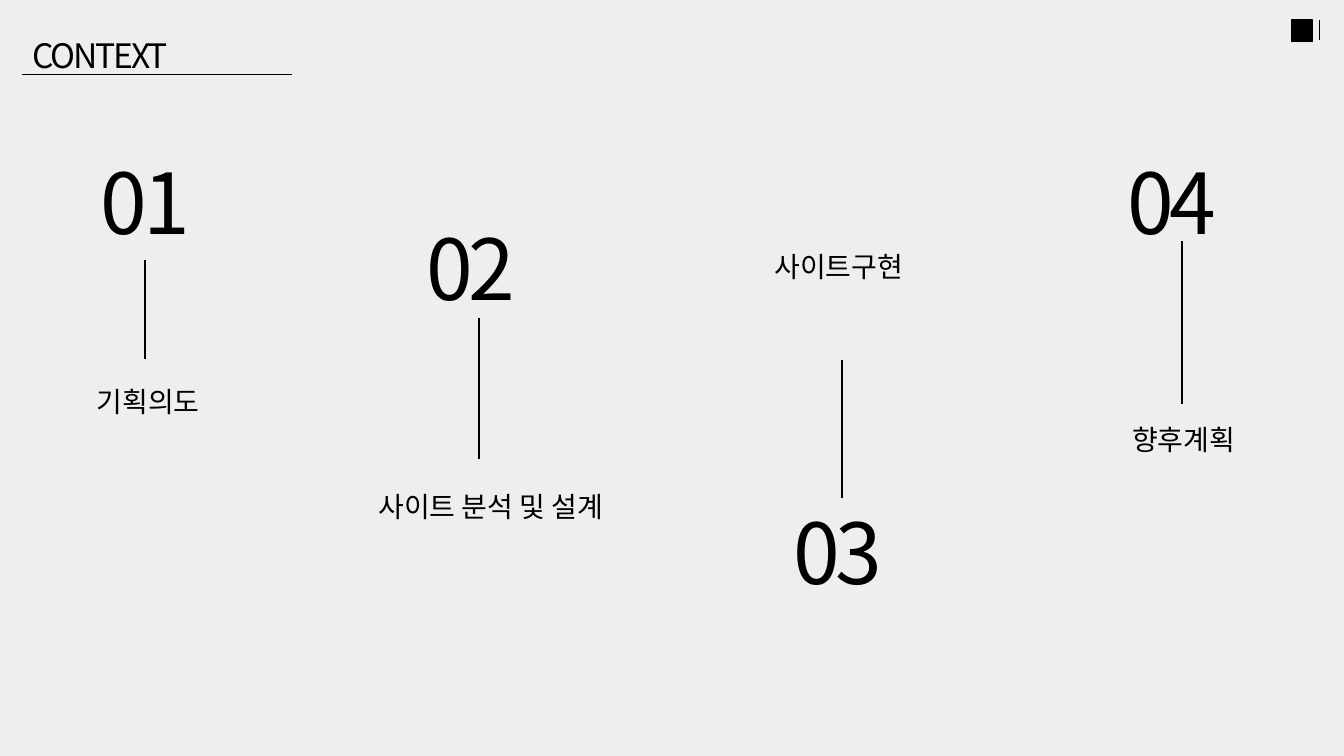
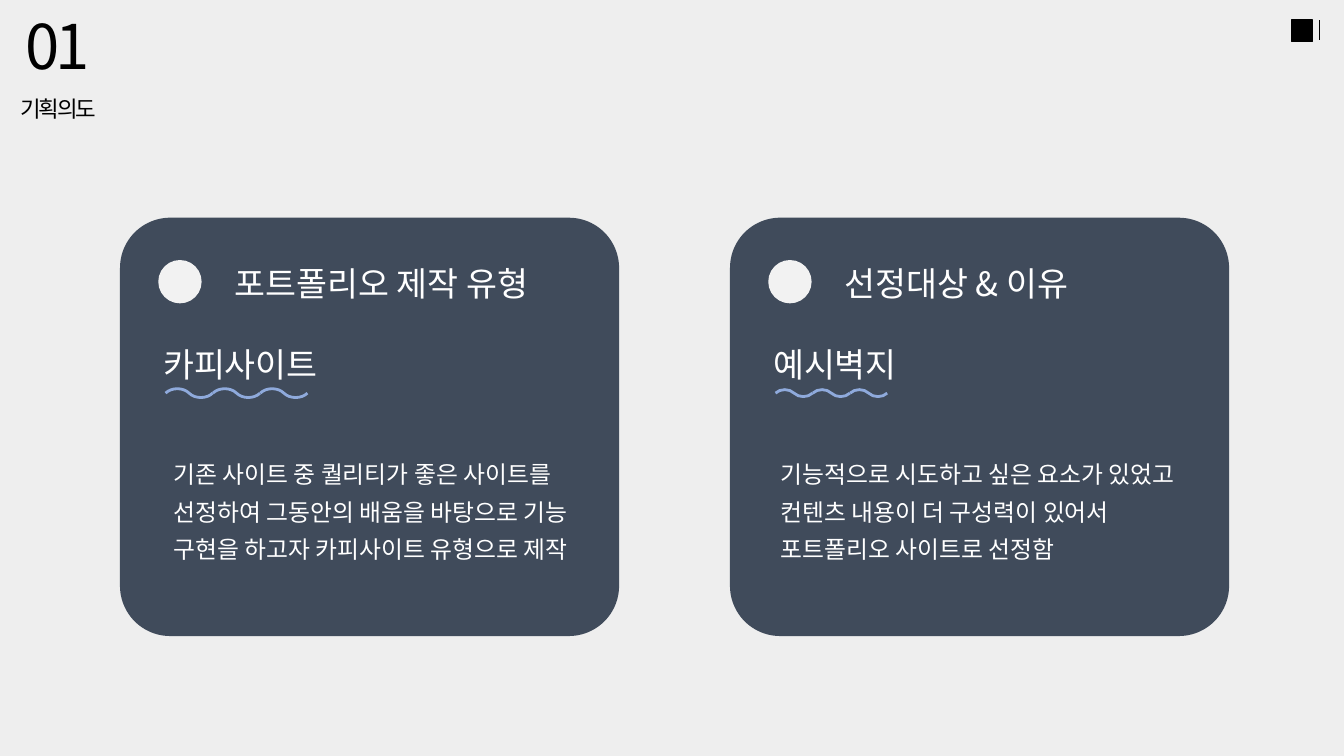
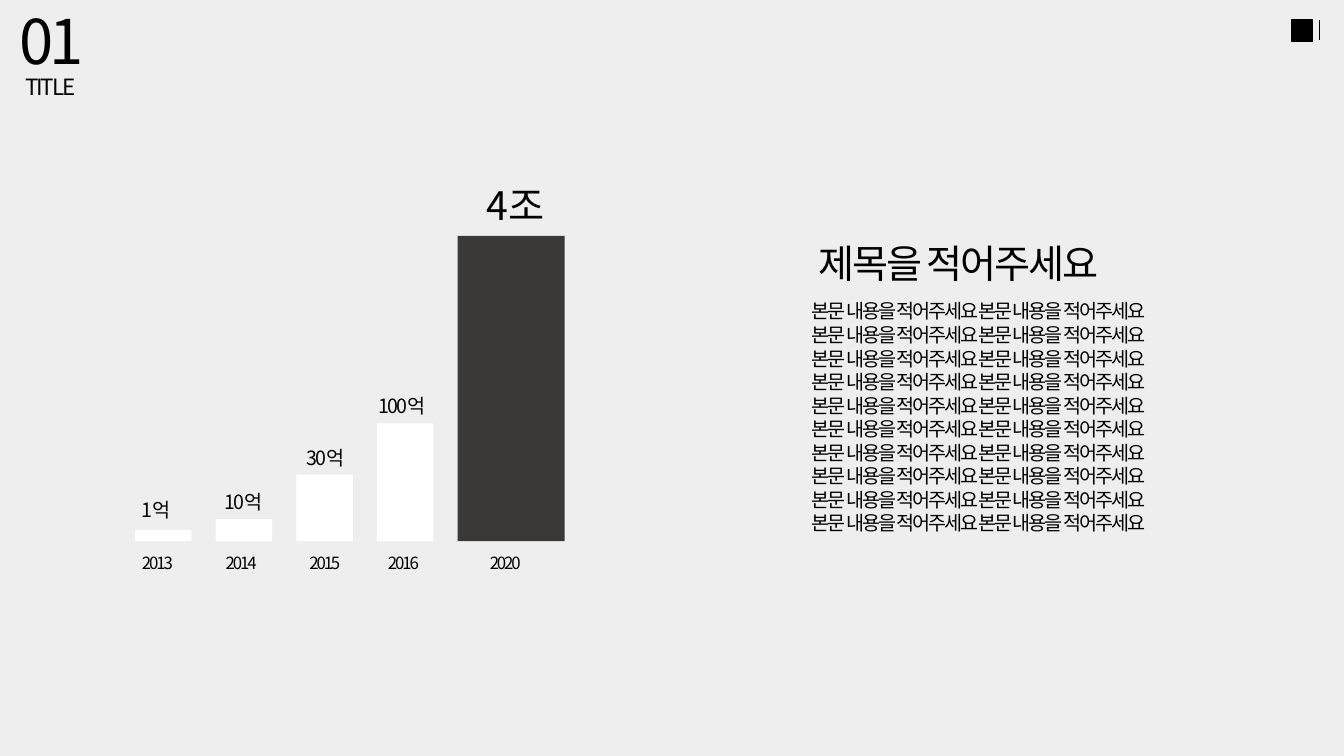
import pptx
import pptx.util
import pptx.dml.color
import pptx.enum.shapes
import pptx.enum.text
import pptx.oxml.ns
import lxml.etree

Inches = pptx.util.Inches
Pt = pptx.util.Pt
RGBColor = pptx.dml.color.RGBColor
SHAPE = pptx.enum.shapes.MSO_SHAPE
CONNECTOR = pptx.enum.shapes.MSO_CONNECTOR
ALIGN = pptx.enum.text.PP_ALIGN
qn = pptx.oxml.ns.qn

FONT = "Noto Sans CJK KR"
PAPER = RGBColor(0xEE, 0xEE, 0xEE)
BLACK = RGBColor(0x00, 0x00, 0x00)
WHITE = RGBColor(0xFF, 0xFF, 0xFF)
NAVY = RGBColor(0x33, 0x3F, 0x50)
PEARL = RGBColor(0xF2, 0xF2, 0xF2)
WAVE_BLUE = RGBColor(0x8F, 0xAA, 0xDC)
CHARCOAL = RGBColor(0x3B, 0x38, 0x38)
TIGHT = -1.5
TIGHTER = -3


def place(shape, left, top, width, height):
    """Move and size a shape, in inches."""
    shape.left, shape.top = Inches(left), Inches(top)
    shape.width, shape.height = Inches(width), Inches(height)


def write(shape, lines, size, color=BLACK, align=ALIGN.LEFT, tracking=0, leading=1.0):
    """Fill a text box or placeholder with plain, unbulleted paragraphs."""
    frame = shape.text_frame
    frame.word_wrap = True
    frame.auto_size = pptx.enum.text.MSO_AUTO_SIZE.NONE
    frame.vertical_anchor = pptx.enum.text.MSO_ANCHOR.TOP
    frame.text = "\n".join(lines)
    for para in frame.paragraphs:
        para.alignment = align
        para.line_spacing = leading
        para.space_before = Pt(0)
        font = para.font
        font.name, font.size, font.color.rgb = FONT, Pt(size), color
        character = font._element
        character.set("spc", str(int(tracking * 100)))
        lxml.etree.SubElement(character, qn("a:ea")).set("typeface", FONT)
        settings = para._p.get_or_add_pPr()
        settings.set("marL", "0")
        settings.set("indent", "0")
        character.addprevious(settings.makeelement(qn("a:buNone"), {}))


def add_text(page, box, text, size, **style):
    """Add a one-line text box."""
    shape = page.shapes.add_textbox(*map(Inches, box))
    write(shape, [text], size, **style)


def add_block(page, kind, box, fill, line=None):
    """Add a flat filled shape."""
    shape = page.shapes.add_shape(kind, *map(Inches, box))
    shape.shadow.inherit = False
    shape.fill.solid()
    shape.fill.fore_color.rgb = fill
    if line is None:
        shape.line.fill.background()
    else:
        shape.line.color.rgb = fill
        shape.line.width = Pt(line)
    return shape


def add_line(page, ends, width, color=BLACK, kind=CONNECTOR.STRAIGHT):
    """Add a connector without shadow."""
    line = page.shapes.add_connector(kind, *map(Inches, ends))
    line.line.color.rgb = color
    line.line.width = Pt(width)
    lxml.etree.SubElement(line._element.spPr, qn("a:effectLst"))
    return line


def add_page(deck, layout):
    """Add a slide with the corner mark."""
    page = deck.slides.add_slide(deck.slide_layouts[layout])
    add_block(page, SHAPE.RECTANGLE, (12.81, 0.2, 0.21, 0.21), BLACK, 1)
    add_line(page, (13.09, 0.2, 13.09, 0.4), 0.5)
    return page


def add_section_head(page, number, title, number_at, title_at):
    """Place the section number and the title beneath it."""
    add_text(page, (*number_at, 1.48, 1), number, 44, tracking=TIGHTER)
    place(page.shapes.title, *title_at, 1, 0.45)
    write(page.shapes.title, [title], 16, align=ALIGN.CENTER, tracking=TIGHT)


def add_chapter(page, number, caption, number_at, caption_at, rule):
    """Place a chapter number, its rule and its centred caption."""
    add_text(page, (*number_at, 1.48, 1.21), number, 60, tracking=TIGHTER)
    x, top, bottom = rule
    add_line(page, (x, top, x, bottom), 1.25)
    center, caption_top = caption_at
    add_text(page, (center - 1.5, caption_top, 3, 0.5), caption, 20, align=ALIGN.CENTER)


def add_wave(page, left, middle, pitch, size):
    """Draw three S-curves in a row as a wavy underline."""
    for index in range(3):
        x = left + index * pitch + (pitch - size) / 2
        y = middle - size / 2
        curve = add_line(page, (x, y, x + size, y + size), 2, WAVE_BLUE, CONNECTOR.CURVE)
        curve._element.spPr.xfrm.rot = 135


def add_card(page, left, top, heading, subject, wave, body, body_box, lines):
    """Place a rounded card with heading, underlined subject and body list."""
    card = add_block(page, SHAPE.ROUNDED_RECTANGLE, (left, top, 4.95, 4.15), NAVY)
    card.adjustments[0] = 0.12
    tint = card._element.spPr.find(".//" + qn("a:srgbClr"))
    lxml.etree.SubElement(tint, qn("a:alpha")).set("val", "93000")
    add_block(page, SHAPE.OVAL, (left + 0.38, top + 0.42, 0.43, 0.43), PEARL)
    add_text(page, (left + 1.04, top + 0.4, 3.67, 0.5), heading, 24, color=WHITE)
    add_text(page, (left + 0.33, top + 1.2, 3.67, 0.5), subject, 24, color=WHITE)
    add_wave(page, left + 0.45, top + 1.74, *wave)
    inset, width = body_box
    place(body, left + inset, top + 2.27, width, 1.2)
    write(body, lines, 17, color=WHITE, leading=1.3)
    page.shapes._spTree.append(body._element)


def add_bars(page, left, base):
    """Draw the growth columns with values above and years below."""
    bars = [
        ("2013", "1억", 0.11, -0.03, 0.37, -0.03),
        ("2014", "10억", 0.22, -0.01, 0.34, 0),
        ("2015", "30억", 0.66, 0, 0.34, 0.03),
        ("2016", "100억", 1.17, -0.08, 0.34, 0.01),
        ("2020", "4조", 3.03, 0.19, 0.59, 0.22),
    ]
    for index, (year, value, height, value_shift, rise, year_shift) in enumerate(bars):
        x, top = left + index * 0.8, base - height
        last = index == len(bars) - 1
        width, fill, size = (1.06, CHARCOAL, 28) if last else (0.56, WHITE, 14)
        add_block(page, SHAPE.RECTANGLE, (x, top, width, height), fill)
        add_text(page, (x + value_shift, top - rise, 0.87, rise), value, size, tracking=TIGHT)
        add_text(page, (x + year_shift, base + 0.06, 0.56, 0.3), year, 12, tracking=TIGHT)


def build_contents(deck):
    """Build the contents slide."""
    page = add_page(deck, 5)
    place(page.shapes.title, 0.22, 0.3, 3.12, 0.5)
    write(page.shapes.title, ["CONTEXT"], 24, tracking=TIGHT)
    add_line(page, (0.22, 0.74, 2.9, 0.74), 0.5)
    chapters = [
        ("01", "기획의도", (0.9, 1.44), (1.47, 3.77), (1.44, 2.58, 3.56)),
        ("02", "사이트 분석 및 설계", (4.13, 2.1), (4.87, 4.81), (4.75, 3.15, 4.55)),
        ("03", "사이트구현", (7.77, 4.92), (8.32, 2.43), (8.35, 3.57, 4.94)),
        ("04", "향후계획", (11.08, 1.44), (11.74, 4.14), (11.72, 2.39, 4.01)),
    ]
    for chapter in chapters:
        add_chapter(page, *chapter)


def build_intent(deck):
    """Build the slide with two cards."""
    page = add_page(deck, 3)
    add_section_head(page, "01", "기획의도", (0.15, 0.03), (0.08, 0.89))
    bodies = page.placeholders
    add_card(page, 1.19, 2.16, "포트폴리오 제작 유형", "카피사이트", (0.47, 0.33),
             bodies[1], (0.43, 4.61),
             ["기존 사이트 중 퀄리티가 좋은 사이트를",
              "선정하여 그동안의 배움을 바탕으로 기능",
              "구현을 하고자 카피사이트 유형으로 제작"])
    add_card(page, 7.24, 2.16, "선정대상 & 이유", "예시벽지", (0.37, 0.26),
             bodies[2], (0.4, 4.31),
             ["기능적으로 시도하고 싶은 요소가 있었고",
              "컨텐츠 내용이 더 구성력이 있어서 포트폴리오 사이트로 선정함"])


def build_growth(deck):
    """Build the slide with columns and body text."""
    page = add_page(deck, 1)
    add_section_head(page, "01", "TITLE", (0.09, -0.02), (0, 0.68))
    add_bars(page, 1.34, 5.37)
    add_text(page, (8.02, 2.33, 3.13, 0.57), "제목을 적어주세요", 28, tracking=TIGHT)
    body = page.placeholders[1]
    place(body, 7.43, 2.92, 4.55, 2.69)
    write(body, ["본문 내용을 적어주세요 본문 내용을 적어주세요"] * 10, 14,
          align=ALIGN.CENTER, tracking=TIGHT)


def main():
    """Build and save the deck."""
    deck = pptx.Presentation()
    deck.slide_width, deck.slide_height = Inches(13.33), Inches(7.5)
    background = deck.slide_master.background.fill
    background.solid()
    background.fore_color.rgb = PAPER
    build_contents(deck)
    build_intent(deck)
    build_growth(deck)
    deck.save("out.pptx")


if __name__ == "__main__":
    main()
